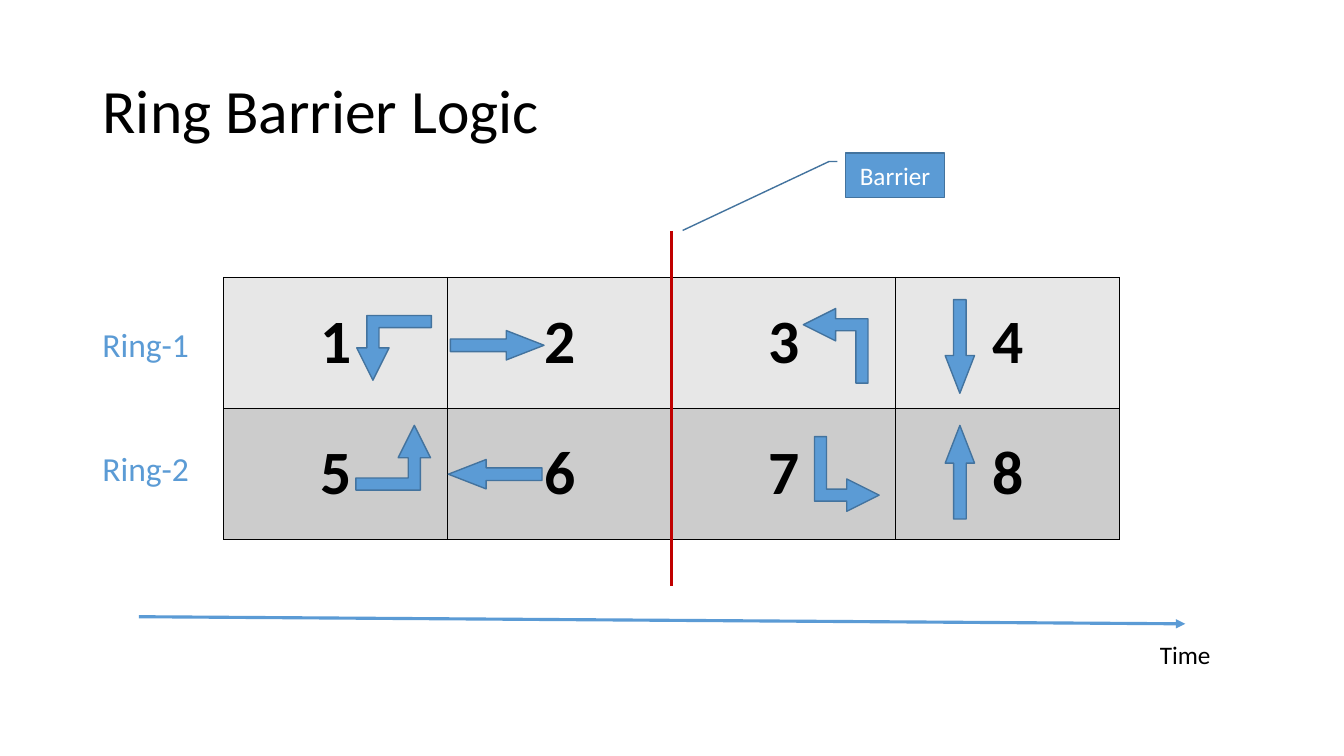
"""Build the Ring Barrier Logic slide."""
from lxml.etree import SubElement
from pptx import Presentation
from pptx.dml.color import RGBColor
from pptx.enum.shapes import MSO_CONNECTOR, MSO_SHAPE
from pptx.enum.text import MSO_ANCHOR, PP_ALIGN
from pptx.oxml.ns import qn
from pptx.util import Cm, Pt

TITLE = "Ring Barrier Logic"
RINGS = [
    ("Ring-1", "E7E7E7", ["1", "2", "3", "4"]),
    ("Ring-2", "CCCCCC", ["5", "6", "7", "8"]),
]
BLUE, DARK_BLUE, RED, BLACK, WHITE = "5B9BD5", "43739E", "C00000", "000000", "FFFFFF"

TABLE_LEFT, TABLE_TOP = 5.64, 6.99
COLUMN_WIDTH, ROW_HEIGHT = 5.645, 3.3
LABEL_LEFT, LABEL_TOP, LABEL_STEP = 2.33, 8.05, 3.1

MOVEMENTS = [
    (MSO_SHAPE.BENT_UP_ARROW, (1.88, 1.63), (0.186, 0.25, 0.5),
     [(8.97, 10.72, 0), (8.99, 7.95, 180), (20.12, 7.9, 270), (20.4, 11.13, 90)]),
    (MSO_SHAPE.LEFT_ARROW, (2.36, 0.74), (0.429, 1.286),
     [(11.3, 11.58, 0), (11.35, 8.33, 180), (23.01, 8.36, 270), (23.01, 11.53, 90)]),
]
CALLOUT_BOX = (21.31, 3.86, 2.49, 1.12)
CALLOUT_POINTS = (0.188, -0.083, 0.188, -0.167, 1.74, -1.649)


def color(value):
    return RGBColor.from_string(value)


def write(text_frame, text, size, text_color, alignment=PP_ALIGN.LEFT, bold=False):
    text_frame.text = text
    paragraph = text_frame.paragraphs[0]
    paragraph.alignment = alignment
    font = paragraph.font
    font.name, font.size, font.bold = "Calibri", Pt(size), bold
    font.color.rgb = color(text_color)
    return paragraph


def add_label(slide, text, box, size, text_color):
    frame = slide.shapes.add_textbox(*map(Cm, box)).text_frame
    frame.word_wrap = False
    write(frame, text, size, text_color)


def add_line(slide, points, line_color, arrow=False):
    connector = slide.shapes.add_connector(MSO_CONNECTOR.STRAIGHT, *map(Cm, points))
    connector.line.color.rgb = color(line_color)
    connector.line.width = Pt(2.25)
    if arrow:
        SubElement(connector.line._get_or_add_ln(), qn("a:tailEnd"), type="triangle")
    SubElement(connector._element.spPr, qn("a:effectLst"))


def add_blue_shape(slide, kind, box, adjustments, rotation=0):
    shape = slide.shapes.add_shape(kind, *map(Cm, box))
    for index, value in enumerate(adjustments):
        shape.adjustments[index] = value
    shape.rotation = rotation
    shape.shadow.inherit = False
    shape.fill.solid()
    shape.fill.fore_color.rgb = color(BLUE)
    shape.line.color.rgb = color(DARK_BLUE)
    shape.line.width = Pt(1)
    return shape


def format_cell(cell, text, fill):
    properties = cell._tc.get_or_add_tcPr()
    for side in ("a:lnL", "a:lnR", "a:lnT", "a:lnB"):
        border = SubElement(properties, qn(side), w=str(Pt(1)))
        SubElement(SubElement(border, qn("a:solidFill")), qn("a:srgbClr"), val=BLACK)
    cell.fill.solid()
    cell.fill.fore_color.rgb = color(fill)
    cell.vertical_anchor = MSO_ANCHOR.MIDDLE
    write(cell.text_frame, text, 44, BLACK, PP_ALIGN.CENTER, True)


def add_phase_table(slide):
    columns = len(RINGS[0][2])
    table = slide.shapes.add_table(
        len(RINGS), columns, Cm(TABLE_LEFT), Cm(TABLE_TOP),
        Cm(COLUMN_WIDTH * columns), Cm(ROW_HEIGHT * len(RINGS))).table
    table.first_row = table.horz_banding = False
    for row, (_, fill, phases) in enumerate(RINGS):
        for column, phase in enumerate(phases):
            format_cell(table.cell(row, column), phase, fill)


def main():
    presentation = Presentation()
    presentation.slide_width, presentation.slide_height = Cm(33.87), Cm(19.05)
    slide = presentation.slides.add_slide(presentation.slide_layouts[5])

    title = slide.shapes.title
    title.left, title.top, title.width, title.height = map(Cm, (2.33, 1.02, 29.21, 3.68))
    title.text_frame.vertical_anchor = MSO_ANCHOR.MIDDLE
    write(title.text_frame, TITLE, 44, BLACK).line_spacing = 0.9

    add_phase_table(slide)
    add_line(slide, (16.93, 5.82, 16.93, 14.76), RED)
    for row, (name, _, _) in enumerate(RINGS):
        add_label(slide, name, (LABEL_LEFT, LABEL_TOP + row * LABEL_STEP, 2.72, 1.27), 24, BLUE)

    add_line(slide, (3.5, 15.54, 29.87, 15.72), BLUE, arrow=True)
    add_label(slide, "Time", (28.98, 15.98, 1.8, 1.02), 18, BLACK)

    callout = add_blue_shape(slide, MSO_SHAPE.LINE_CALLOUT_2, CALLOUT_BOX, CALLOUT_POINTS)
    callout.text_frame.vertical_anchor = MSO_ANCHOR.MIDDLE
    write(callout.text_frame, "Barrier", 18, WHITE, PP_ALIGN.CENTER)

    for kind, size, adjustments, places in MOVEMENTS:
        for left, top, rotation in places:
            add_blue_shape(slide, kind, (left, top, *size), adjustments, rotation)

    presentation.save("out.pptx")


if __name__ == "__main__":
    main()
